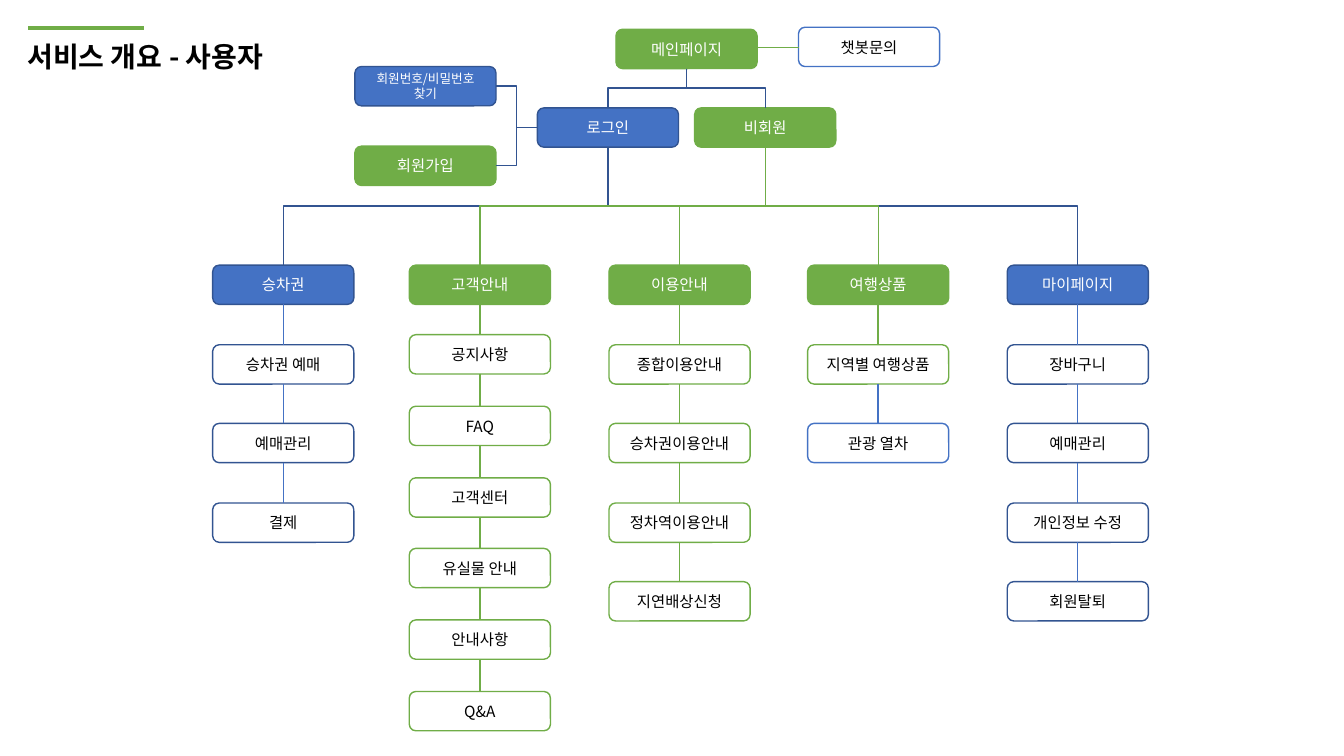
from lxml.etree import SubElement
from pptx import Presentation
from pptx.dml.color import RGBColor as Rgb
from pptx.enum.shapes import MSO_CONNECTOR as Conn, MSO_SHAPE as Shape
from pptx.enum.text import MSO_ANCHOR as Anchor, MSO_AUTO_SIZE as Fit, PP_ALIGN as Align
from pptx.oxml.ns import qn
from pptx.util import Pt

PX = 9144
FONT = "Noto Sans CJK KR"
HUES = {
    "blue": "4472C4",
    "navy": "325491",
    "green": "70AD47",
    "white": "FFFFFF",
    "black": "000000",
}
TOP, LEFT, BASE, RIGHT = range(4)
WIDE, HIGH = 140, 39


class Chart:
    def __init__(self, deck):
        self.slide = deck.slides.add_slide(deck.slide_layouts[5])
        self.shapes = self.slide.shapes

    def hue(self, name):
        return Rgb.from_string(HUES[name])

    def style(self, frame, size, hue, align, bold=False):
        for para in frame.paragraphs:
            para.alignment = align
            font = para.font
            font.size, font.bold, font.name = Pt(size), bold, FONT
            font.color.rgb = self.hue(hue)
            props = para._p.pPr.find(qn("a:defRPr"))
            SubElement(props, qn("a:ea")).set("typeface", FONT)

    def title(self, text, x, y, w, h):
        head = self.shapes.title
        head.left, head.top, head.width, head.height = (n * PX for n in (x, y, w, h))
        frame = head.text_frame
        frame.text = text
        frame.word_wrap = True
        frame.auto_size = Fit.SHAPE_TO_FIT_TEXT
        frame.vertical_anchor = Anchor.TOP
        self.style(frame, 20, "black", Align.LEFT, True)

    def box(self, text, x, y, edge, fill=None, size=11):
        node = self.shapes.add_shape(
            Shape.ROUNDED_RECTANGLE, x * PX, y * PX, WIDE * PX, HIGH * PX)
        node.shadow.inherit = False
        if fill:
            node.fill.solid()
            node.fill.fore_color.rgb = self.hue(fill)
        else:
            node.fill.background()
        node.line.color.rgb = self.hue(edge)
        node.line.width = Pt(1)
        frame = node.text_frame
        frame.text = text
        frame.word_wrap = True
        frame.vertical_anchor = Anchor.MIDDLE
        self.style(frame, size, "white" if fill else "black", Align.CENTER)
        return node

    def line(self, hue, x1=0, y1=0, x2=0, y2=0, width=1, kind=Conn.STRAIGHT):
        wire = self.shapes.add_connector(kind, x1 * PX, y1 * PX, x2 * PX, y2 * PX)
        wire.line.color.rgb = self.hue(hue)
        wire.line.width = Pt(width)
        SubElement(wire._element.spPr, qn("a:effectLst"))
        return wire

    def link(self, start, end, hue, out=BASE, into=TOP, kind=Conn.STRAIGHT):
        wire = self.line(hue, kind=kind)
        wire.begin_connect(start, out)
        wire.end_connect(end, into)
        return wire

    def drop(self, start, end, hue):
        wire = self.link(start, end, hue, kind=Conn.ELBOW)
        right = start.left < end.left
        mid_x = wire.left + wire.width // 2
        mid_y = wire.top + wire.height // 2
        wire.width, wire.height = wire.height, wire.width
        wire.left = mid_x - wire.width // 2
        wire.top = mid_y - wire.height // 2
        turn = wire._element.spPr.xfrm
        turn.set("rot", str((270 if right else 90) * 60000))
        turn.set("flipH", str(int(right)))

    def stack(self, head, names, edge, wire, first, pitch):
        last = head
        for step, name in enumerate(names):
            node = self.box(name, head.left // PX, round(first + pitch * step), edge)
            self.link(last, node, wire)
            last = node
        return last


def main():
    deck = Presentation()
    deck.slide_width, deck.slide_height = 1333 * PX, 750 * PX
    chart = Chart(deck)
    chart.title("서비스 개요 - 사용자", 17, 34, 398, 44)
    chart.line("green", 28, 28, 143, 28, 3)

    home = chart.box("메인페이지", 611, 29, "green", "green")
    chart.box("챗봇문의", 792, 27, "blue")
    chart.line("green", 751, 47, 792, 47)
    login = chart.box("로그인", 533, 107, "navy", "blue")
    guest = chart.box("비회원", 689, 107, "green", "green")
    find = chart.box("회원번호/비밀번호\n찾기", 352, 66, "navy", "blue", 9)
    join = chart.box("회원가입", 352, 145, "green", "green")
    for node in (login, guest):
        chart.drop(home, node, "navy")
    for node in (find, join):
        chart.link(login, node, "navy", LEFT, RIGHT, Conn.ELBOW)

    blue, green = ("navy", "blue"), ("green", "green")
    wide, tight = (341.6, 78.6), (332, 70.8)
    menus = [
        ("승차권", 211, blue, wide, ["승차권 예매", "예매관리", "결제"]),
        ("고객안내", 406, green, tight,
         ["공지사항", "FAQ", "고객센터", "유실물 안내", "안내사항", "Q&A"]),
        ("이용안내", 604, green, wide,
         ["종합이용안내", "승차권이용안내", "정차역이용안내", "지연배상신청"]),
        ("여행상품", 801, green, wide, ["지역별 여행상품"]),
        ("마이페이지", 999, blue, wide,
         ["장바구니", "예매관리", "개인정보 수정", "회원탈퇴"]),
    ]
    heads, ends = [], []
    for name, x, (edge, fill), rows, names in menus:
        head = chart.box(name, x, 263, edge, fill)
        heads.append(head)
        ends.append(chart.stack(head, names, edge, fill, *rows))
    chart.link(ends[3], chart.box("관광 열차", 801, 420, "blue"), "blue")

    for head in heads:
        chart.drop(login, head, "navy")
    for head in heads[1:4]:
        chart.drop(guest, head, "green")
    deck.save("out.pptx")


if __name__ == "__main__":
    main()
